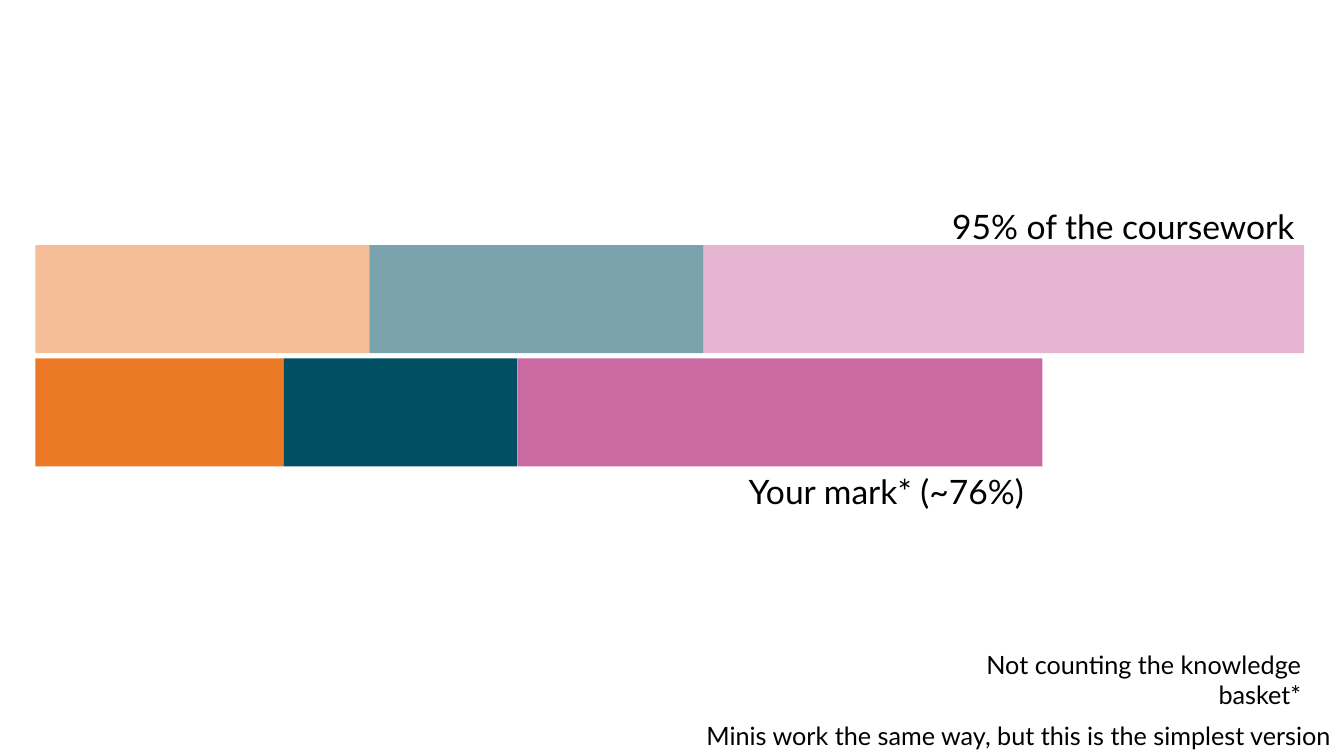
from pptx import Presentation
from pptx.dml.color import RGBColor
from pptx.enum.shapes import MSO_SHAPE as Kind
from pptx.enum.text import PP_ALIGN as Align
from pptx.oxml.ns import qn
from pptx.util import Pt
from lxml.etree import SubElement

# colour, share of the course, share earned, opacity of the upper bar in percent
PARTS = [
    ("EC7925", 25, 18.6, 48),
    ("004F63", 25, 17.5, 52),
    ("CA69A2", 45, 39.3, 49),
]
# words, left, top, width, height, size, alignment, wrap
NOTES = [
    ("Minis work the same way, but this is the simplest version",
     497.5, 511.2, 462.2, 29, 18, Align.LEFT, False),
    ("Your mark* (~76%) ", 480.2, 332.6, 264.3, 36, 24, Align.RIGHT, True),
    ("95% of the coursework", 655.2, 143.3, 276.5, 36, 24, Align.RIGHT, True),
    ("Not counting the knowledge basket*",
     636.5, 460.1, 300, 29, 18, Align.RIGHT, True),
]
LEFT, TOP, HIGH, STEP = 25.3, 175, 77.2, 80.9
UNIT = 9.54  # points of width per percent


def paint(hue):
    return RGBColor.from_string(hue)


def bar(slide, row, parts):
    """Draw one row of touching blocks from (colour, share, opacity) parts."""
    x = LEFT
    for hue, share, alpha in parts:
        wide = share * UNIT
        block = slide.shapes.add_shape(
            Kind.RECTANGLE, Pt(x), Pt(TOP + row * STEP), Pt(wide), Pt(HIGH))
        block.shadow.inherit = False
        block.line.fill.background()
        block.fill.solid()
        block.fill.fore_color.rgb = paint(hue)
        if alpha < 100:
            tint = block.fill._xPr.find(".//" + qn("a:srgbClr"))
            SubElement(tint, qn("a:alpha"), val=str(alpha * 1000))
        x += wide


def note(slide, words, x, y, wide, high, size, align, wrap):
    frame = slide.shapes.add_textbox(Pt(x), Pt(y), Pt(wide), Pt(high)).text_frame
    frame.word_wrap = wrap
    para = frame.paragraphs[0]
    para.alignment = align
    run = para.add_run()
    run.text = words
    for key, value in {"name": "Lato", "size": Pt(size)}.items():
        setattr(run.font, key, value)
    run.font.color.rgb = paint("000000")


def main():
    deck = Presentation()
    deck.slide_width, deck.slide_height = Pt(960), Pt(540)
    slide = deck.slides.add_slide(deck.slide_layouts[6])
    bar(slide, 0, [(hue, full, alpha) for hue, full, _, alpha in PARTS])
    bar(slide, 1, [(hue, mark, 100) for hue, _, mark, _ in PARTS])
    for item in NOTES:
        note(slide, *item)
    deck.save("out.pptx")


if __name__ == "__main__":
    main()
